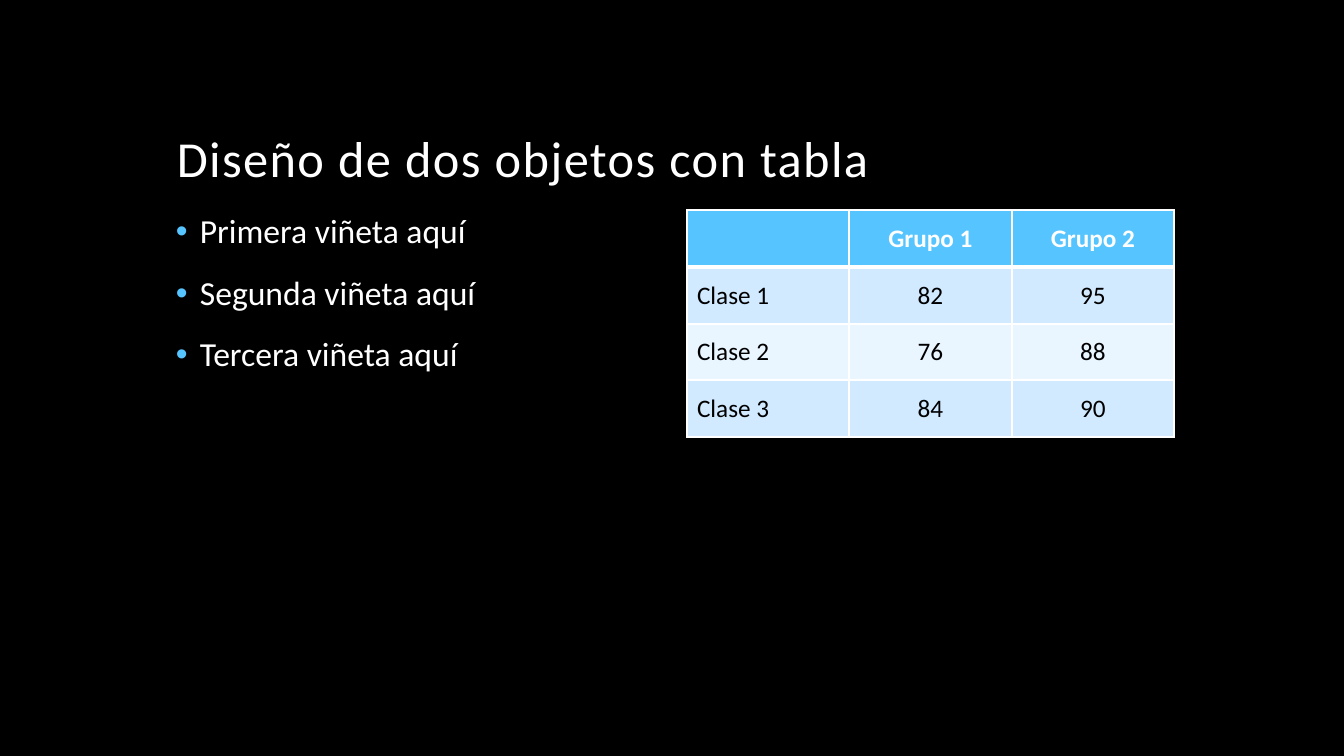
"""Build a slide with a title, three bullets and a table of class results."""
from dataclasses import dataclass

from lxml import etree
from pptx import Presentation
from pptx.dml.color import RGBColor
from pptx.enum.text import MSO_ANCHOR, PP_ALIGN
from pptx.oxml.ns import qn
from pptx.util import Emu, Pt

LEFT, CENTER = PP_ALIGN.LEFT, PP_ALIGN.CENTER
TOP, MIDDLE, BOTTOM = MSO_ANCHOR.TOP, MSO_ANCHOR.MIDDLE, MSO_ANCHOR.BOTTOM
EMU_PER_PIXEL = 914400 / 100.8


@dataclass(frozen=True)
class Theme:
    """Fonts, colours and type sizes of the slide."""
    font: str = "Calibri"
    background: str = "000000"
    light: str = "FFFFFF"
    dark: str = "000000"
    accent: str = "56C5FF"
    bands: tuple[str, str] = ("D1EAFF", "E9F5FF")
    title_size: int = 36
    bullet_size: int = 24
    table_size: int = 18
    bullet_gap: int = 18
    line_spacing: float = 0.9
    thin: int = 1
    thick: int = 3


@dataclass(frozen=True)
class Area:
    """A rectangle in pixels."""
    left: int
    top: int
    width: int
    height: int

    def emu(self) -> tuple[Emu, ...]:
        """Return the rectangle in EMU."""
        return tuple(map(pixels, (self.left, self.top, self.width, self.height)))


@dataclass(frozen=True)
class TextBlock:
    """A text box with uniform paragraphs."""
    area: Area
    lines: tuple[str, ...]
    size: int
    anchor: MSO_ANCHOR
    tracking: int = 0
    bullet: str = ""
    indent: int = 0
    gap: int = 0


THEME = Theme()
BLOCKS = (
    TextBlock(Area(167, 42, 1008, 151), ("Diseño de dos objetos con tabla",),
              THEME.title_size, BOTTOM, tracking=100),
    TextBlock(Area(166, 210, 487, 454),
              ("Primera viñeta aquí", "Segunda viñeta aquí", "Tercera viñeta aquí"),
              THEME.bullet_size, TOP, bullet="•", indent=24, gap=THEME.bullet_gap),
)
TABLE_AREA = Area(687, 210, 487, 227)
RESULTS = (
    ("", "Grupo 1", "Grupo 2"),
    ("Clase 1", "82", "95"),
    ("Clase 2", "76", "88"),
    ("Clase 3", "84", "90"),
)


def pixels(length: float) -> Emu:
    """Convert pixels to EMU."""
    return Emu(round(length * EMU_PER_PIXEL))


def shares(total: int, count: int) -> list[int]:
    """Split a length into nearly equal whole pixels."""
    edges = [round(total * step / count) for step in range(count + 1)]
    return [end - start for start, end in zip(edges, edges[1:])]


def apply(target, values: dict) -> None:
    """Set each named attribute on the target."""
    for name, value in values.items():
        setattr(target, name, value)


def add_span(para, text: str, size: int, color: str, bold: bool = False):
    """Add a formatted run to a paragraph."""
    span = para.add_run()
    span.text = text
    apply(span.font, {"name": THEME.font, "size": Pt(size), "bold": bold})
    span.font.color.rgb = RGBColor.from_string(color)
    return span


def add_bullet(para, mark: str, indent: int) -> None:
    """Give a paragraph a coloured bullet and a hanging indent."""
    properties = para._p.get_or_add_pPr()
    properties.set("marL", str(pixels(indent)))
    properties.set("indent", str(-pixels(indent)))
    color = etree.SubElement(properties, qn("a:buClr"))
    etree.SubElement(color, qn("a:srgbClr"), val=THEME.accent)
    etree.SubElement(properties, qn("a:buFont"), typeface="Arial")
    etree.SubElement(properties, qn("a:buChar"), char=mark)


def add_text(page, block: TextBlock) -> None:
    """Draw one text block."""
    frame = page.shapes.add_textbox(*block.area.emu()).text_frame
    apply(frame, {"word_wrap": True, "vertical_anchor": block.anchor})
    for index, line in enumerate(block.lines):
        para = frame.add_paragraph() if index else frame.paragraphs[0]
        apply(para, {"alignment": LEFT, "line_spacing": THEME.line_spacing,
                     "space_before": Pt(block.gap)})
        if block.bullet:
            add_bullet(para, block.bullet, block.indent)
        span = add_span(para, line, block.size, THEME.light)
        if block.tracking:
            span._r.get_or_add_rPr().set("spc", str(block.tracking))


def add_borders(cell, widths: dict[str, int]) -> None:
    """Draw the cell borders ahead of its fill."""
    properties = cell._tc.get_or_add_tcPr()
    for index, (side, width) in enumerate(widths.items()):
        line = etree.Element(qn(f"a:{side}"), w=str(Pt(width)))
        fill = etree.SubElement(line, qn("a:solidFill"))
        etree.SubElement(fill, qn("a:srgbClr"), val=THEME.light)
        properties.insert(index, line)


def add_results(page, area: Area, rows: tuple[tuple[str, ...], ...]) -> None:
    """Draw the table with a header row and alternating bands."""
    table = page.shapes.add_table(len(rows), len(rows[0]), *area.emu()).table
    apply(table, {"first_row": False, "horz_banding": False})
    for column, width in zip(table.columns, shares(area.width, len(rows[0]))):
        column.width = pixels(width)
    for row, height in zip(table.rows, shares(area.height, len(rows))):
        row.height = pixels(height)
    for row_index, texts in enumerate(rows):
        header = row_index == 0
        fill = THEME.accent if header else THEME.bands[(row_index - 1) % 2]
        color = THEME.light if header else THEME.dark
        top = THEME.thick if row_index == 1 else THEME.thin
        bottom = THEME.thick if header else THEME.thin
        for column_index, text in enumerate(texts):
            cell = table.cell(row_index, column_index)
            cell.vertical_anchor = MIDDLE
            cell.fill.solid()
            cell.fill.fore_color.rgb = RGBColor.from_string(fill)
            add_borders(cell, {"lnL": THEME.thin, "lnR": THEME.thin,
                               "lnT": top, "lnB": bottom})
            para = cell.text_frame.paragraphs[0]
            para.alignment = CENTER if column_index else LEFT
            if text:
                add_span(para, text, THEME.table_size, color, header)


def main() -> None:
    """Build and save the deck."""
    deck = Presentation()
    apply(deck, {"slide_width": pixels(1344), "slide_height": pixels(756)})
    page = deck.slides.add_slide(deck.slide_layouts[6])
    page.background.fill.solid()
    page.background.fill.fore_color.rgb = RGBColor.from_string(THEME.background)
    for block in BLOCKS:
        add_text(page, block)
    add_results(page, TABLE_AREA, RESULTS)
    deck.save("out.pptx")


main()
